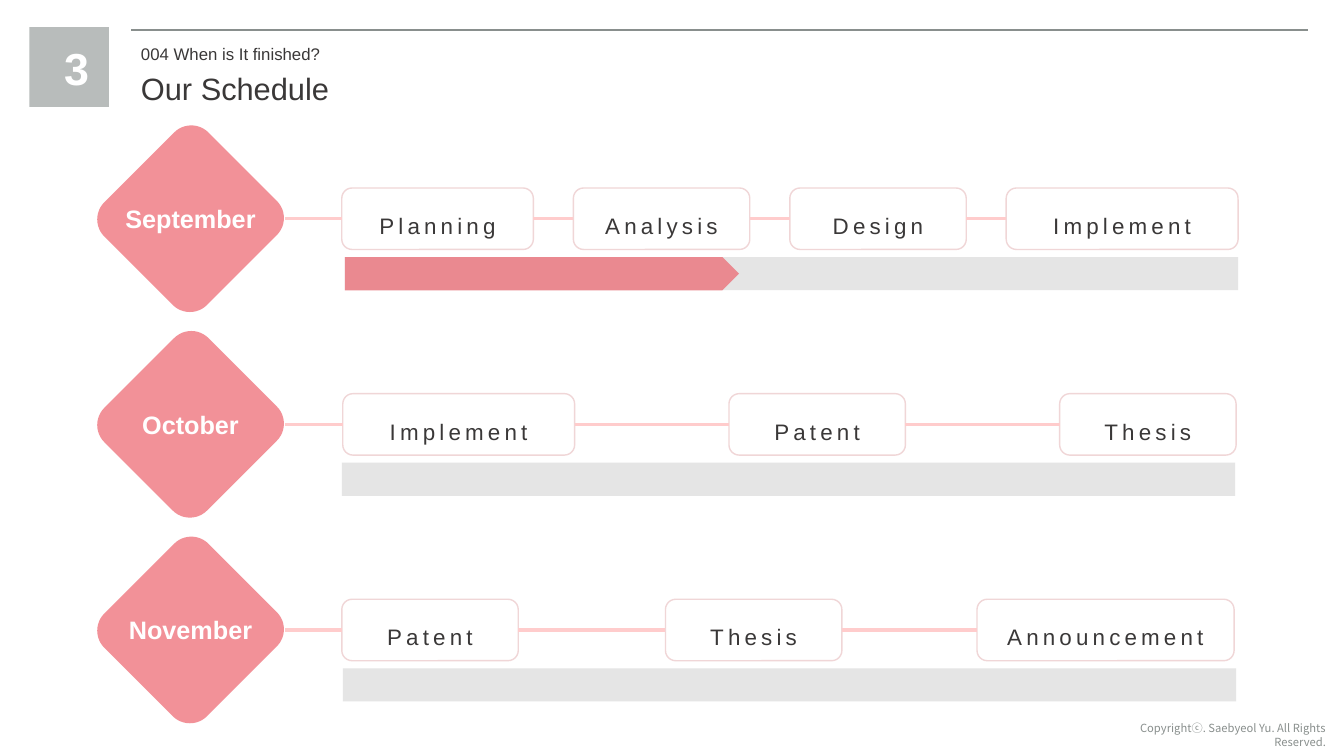
"""Build a three-month project schedule slide with stages and progress bars."""
from lxml.etree import SubElement
from pptx import Presentation
from pptx.dml.color import RGBColor
from pptx.enum.shapes import MSO_CONNECTOR, MSO_SHAPE
from pptx.enum.text import MSO_ANCHOR, PP_ALIGN
from pptx.oxml.ns import qn
from pptx.util import Inches, Pt

NUMBER = "3"
SUBTITLE = "004 When is It finished?"
TITLE = "Our Schedule"
COPYRIGHT = "Copyrightⓒ. Saebyeol Yu. All Rights Reserved."
SHORT, MEDIUM, LONG, WIDEST = 1.75, 1.9, 2.3, 2.55
MONTHS = [
    {"name": "September", "span": (3.39, 12.28), "bar_left": 3.42, "done": 3.91,
     "stages": [("Planning", MEDIUM, 0), ("Analysis", SHORT, 0),
                ("Design", SHORT, 0), ("Implement", LONG, 0)]},
    {"name": "October", "span": (3.4, 12.26), "bar_left": 3.39, "done": 0,
     "stages": [("Implement", LONG, 0), ("Patent", SHORT, 0), ("Thesis", SHORT, 0)]},
    {"name": "November", "span": (3.39, 12.24), "bar_left": 3.4, "done": 0,
     "stages": [("Patent", SHORT, 0), ("Thesis", SHORT, 0.06),
                ("Announcement", WIDEST, 0)]},
]
THEME = {
    "colors": {"ink": "3A3838", "white": "FFFFFF", "gray": "898F8D", "badge": "B8BCBB",
               "rose": "ED636D", "track": "DADADA", "outline": "F0D6D7", "link": "FFCCCC"},
    "fonts": {"main": "Arial", "footer": "Noto Sans CJK KR"},
    "sizes": {"footer": 8, "subtitle": 12, "stage": 16, "month": 18, "title": 22, "number": 32},
}
SLIDE_SIZE = (13.33, 7.5)
ROW_CENTER, ROW_PITCH = 2.17, 2.04
DIAMOND_CENTER, DIAMOND_SIZE = 1.89, (1.44, 1.46)
LABEL_SIZE = (1.87, 0.4)
STAGE_HEIGHT = 0.61
BAR_DROP, BAR_WIDTH, BAR_HEIGHT = 0.38, 8.86, 0.33


def color(name):
    return RGBColor.from_string(THEME["colors"][name])


def write(shape, text, size, ink, align=PP_ALIGN.LEFT, bold=False, font="main",
          spacing=None, tracking=0, wrap=True, anchor=MSO_ANCHOR.TOP):
    frame = shape.text_frame
    for name, value in {"word_wrap": wrap, "vertical_anchor": anchor}.items():
        setattr(frame, name, value)
    paragraph = frame.paragraphs[0]
    paragraph.alignment = align
    paragraph.line_spacing = spacing
    run = paragraph.add_run()
    run.text = text
    values = {"size": Pt(THEME["sizes"][size]), "name": THEME["fonts"][font], "bold": bold}
    for name, value in values.items():
        setattr(run.font, name, value)
    run.font.color.rgb = color(ink)
    properties = run.font._element
    SubElement(properties, qn("a:ea")).set("typeface", THEME["fonts"][font])
    if tracking:
        properties.set("spc", str(tracking * 100))


def add_text(slide, box, text, size, ink, **formats):
    shape = slide.shapes.add_textbox(*map(Inches, box))
    write(shape, text, size, ink, **formats)
    return shape


def add_block(slide, kind, box, fill, opacity=70, outline=None):
    shape = slide.shapes.add_shape(kind, *map(Inches, box))
    shape.shadow.inherit = False
    shape.fill.solid()
    shape.fill.fore_color.rgb = color(fill)
    if opacity < 100:
        fill_color = shape._element.spPr.find(qn("a:solidFill"))[0]
        SubElement(fill_color, qn("a:alpha")).set("val", str(opacity * 1000))
    if outline:
        shape.line.color.rgb = color(outline)
        shape.line.width = Pt(1)
    else:
        shape.line.fill.background()
    return shape


def add_line(slide, start, end, ink, width):
    line = slide.shapes.add_connector(MSO_CONNECTOR.STRAIGHT, *map(Inches, start + end))
    line.line.color.rgb = color(ink)
    line.line.width = Pt(width)
    SubElement(line._element.spPr, qn("a:effectLst"))
    return line


def add_header(slide):
    add_line(slide, (1.3, 0.3), (12.97, 0.3), "gray", 1.5)
    add_block(slide, MSO_SHAPE.RECTANGLE, (0.29, 0.27, 0.79, 0.79), "badge", 100)
    add_text(slide, (0.44, 0.35, 0.64, 0.64), NUMBER, "number", "white",
             align=PP_ALIGN.CENTER, bold=True)
    add_text(slide, (1.3, 0.38, 1.99, 0.3), SUBTITLE, "subtitle", "ink", wrap=False)
    add_text(slide, (1.3, 0.64, 2.09, 0.47), TITLE, "title", "ink", wrap=False)


def add_month(slide, month, center):
    width, height = DIAMOND_SIZE
    diamond = add_block(slide, MSO_SHAPE.ROUNDED_RECTANGLE,
                        (DIAMOND_CENTER - width / 2, center - height / 2, width, height), "rose")
    diamond.rotation = 45
    width, height = LABEL_SIZE
    previous = add_text(slide, (DIAMOND_CENTER - width / 2, center - height / 2, width, height),
                        month["name"], "month", "white", align=PP_ALIGN.CENTER, bold=True)
    left, right = month["span"]
    stages = month["stages"]
    gap = (right - left - sum(width for _, width, _ in stages)) / (len(stages) - 1)
    for name, width, shift in stages:
        stage = add_block(slide, MSO_SHAPE.ROUNDED_RECTANGLE,
                          (left + shift, center - STAGE_HEIGHT / 2, width, STAGE_HEIGHT),
                          "white", outline="outline")
        write(stage, name, "stage", "ink", align=PP_ALIGN.CENTER, spacing=1.5,
              tracking=3, anchor=MSO_ANCHOR.MIDDLE)
        link = add_line(slide, (left - gap, center), (left, center), "link", 2.25)
        link.begin_connect(previous, 3)
        link.end_connect(stage, 1)
        previous = stage
        left += width + gap
    top = center + BAR_DROP
    add_block(slide, MSO_SHAPE.RECTANGLE,
              (month["bar_left"], top, BAR_WIDTH, BAR_HEIGHT), "track")
    if month["done"]:
        add_block(slide, MSO_SHAPE.PENTAGON,
                  (month["bar_left"], top, month["done"], BAR_HEIGHT), "rose")


def main():
    presentation = Presentation()
    presentation.slide_width, presentation.slide_height = map(Inches, SLIDE_SIZE)
    slide = presentation.slides.add_slide(presentation.slide_layouts[6])
    add_text(slide, (10.8, 7.11, 2.45, 0.24), COPYRIGHT, "footer", "gray",
             align=PP_ALIGN.RIGHT, font="footer")
    add_header(slide)
    for row, month in enumerate(MONTHS):
        add_month(slide, month, ROW_CENTER + row * ROW_PITCH)
    presentation.save("out.pptx")


if __name__ == "__main__":
    main()
